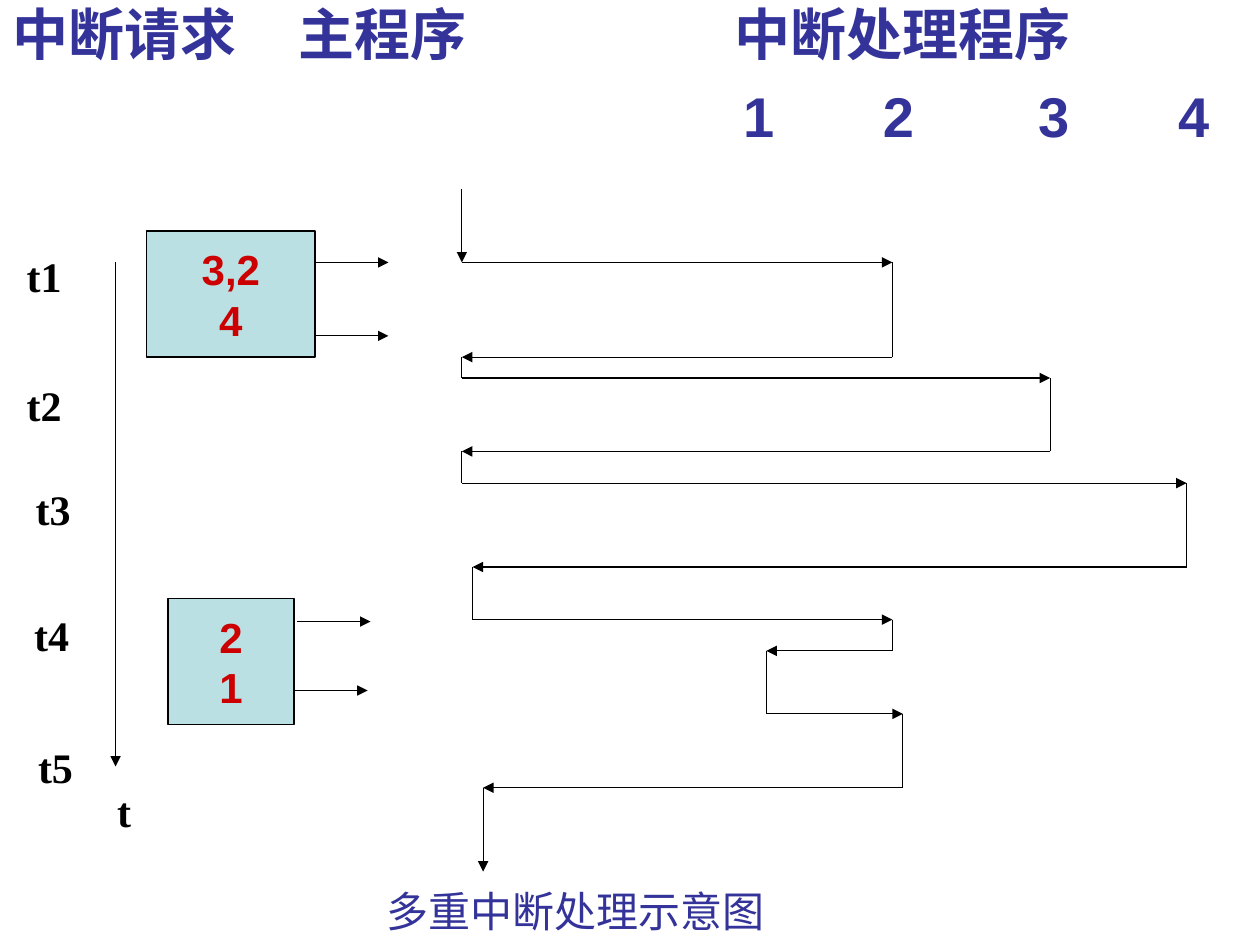
from itertools import pairwise

from lxml import etree
from pptx import Presentation
from pptx import util as u
from pptx.dml.color import RGBColor
from pptx.enum import shapes, text
from pptx.oxml import ns

THEME = {
    "line": RGBColor(0x00, 0x00, 0x00),
    "fill": RGBColor(0xBB, 0xE0, 0xE3),
    "line_width": u.Pt(0.75),
    "heading": dict(name="Arial", size=u.Pt(32), bold=True, color=RGBColor(0x33, 0x33, 0x99)),
    "request": dict(name="Arial", size=u.Pt(24), bold=True, color=RGBColor(0xCC, 0x00, 0x00)),
    "time": dict(name="Times New Roman", size=u.Pt(24), bold=True, color=RGBColor(0, 0, 0)),
    "caption": dict(name="Noto Sans CJK SC", size=u.Pt(24), bold=False,
                    color=RGBColor(0x33, 0x33, 0x99)),
}
CENTER = text.PP_ALIGN.CENTER


def write(shape, lines, style, align, tabs=(), before=0):
    """Fill a shape with one styled paragraph per line, with optional tab stops."""
    frame = shape.text_frame
    for index, line in enumerate(lines):
        para = frame.add_paragraph() if index else frame.paragraphs[0]
        para.alignment = align
        if index and before:
            para.space_before = u.Pt(before)
        if tabs:
            stops = etree.SubElement(para._p.get_or_add_pPr(), ns.qn("a:tabLst"))
            for stop in tabs[index]:
                etree.SubElement(stops, ns.qn("a:tab"), pos=str(u.Cm(stop)), algn="l")
        span = para.add_run()
        span.text = line
        for key, value in THEME[style].items():
            if key == "color":
                span.font.color.rgb = value
            else:
                setattr(span.font, key, value)


def draw_line(start, end, arrow=True):
    """Connect two points given in centimetres."""
    line = page.shapes.add_connector(
        shapes.MSO_CONNECTOR.STRAIGHT, *(u.Cm(v) for v in (*start, *end)))
    line.line.color.rgb = THEME["line"]
    line.line.width = THEME["line_width"]
    if arrow:
        etree.SubElement(line.line._get_or_add_ln(), ns.qn("a:tailEnd"), type="triangle")
    etree.SubElement(line._element.spPr, ns.qn("a:effectLst"))


deck = Presentation()
deck.slide_width, deck.slide_height = u.Cm(25.4), u.Cm(19.05)
page = deck.slides.add_slide(deck.slide_layouts[6])

# Column headings and handler numbers
box = page.shapes.add_textbox(0, 0, deck.slide_width, deck.slide_height)
box.text_frame.word_wrap = True
box.text_frame.margin_top = 0
write(box, ["中断请求\t主程序\t中断处理程序", "\t1\t2\t3\t4"], "heading", text.PP_ALIGN.LEFT,
      tabs=[(5.77, 14.55), (14.73, 17.55, 20.68, 23.5)], before=8)

# Time axis
draw_line((2.33, 5.29), (2.33, 15.45))

# Interrupt requests: left, top, width, height, lines
for left, top, width, height, lines in [
    (2.96, 4.66, 3.39, 2.54, ["3,2", "4"]),
    (3.39, 12.07, 2.54, 2.54, ["2", "1"]),
]:
    box = page.shapes.add_shape(shapes.MSO_SHAPE.RECTANGLE,
                                *(u.Cm(v) for v in (left, top, width, height)))
    box.shadow.inherit = False
    box.fill.solid()
    box.fill.fore_color.rgb = THEME["fill"]
    box.line.color.rgb = THEME["line"]
    box.line.width = THEME["line_width"]
    box.text_frame.word_wrap = False
    box.text_frame.vertical_anchor = text.MSO_ANCHOR.MIDDLE
    write(box, lines, "request", CENTER)

# Request arrows
for x, y in [(6.35, 5.29), (6.35, 6.77), (5.99, 12.53), (5.93, 13.92)]:
    draw_line((x, y), (x + 1.48, y))

# Control flow between the main program and the handlers
main, first, second, third, fourth = 9.31, 15.45, 17.99, 21.17, 23.92
flow = [
    (main, 3.81), (main, 5.29), (second, 5.29), (second, 7.2),
    (main, 7.2), (main, 7.62), (third, 7.62), (third, 9.1),
    (main, 9.1), (main, 9.74), (fourth, 9.74), (fourth, 11.43),
    (9.53, 11.43), (9.53, 12.49), (second, 12.49), (second, 13.12),
    (first, 13.12), (first, 14.39), (18.2, 14.39), (18.2, 15.88),
    (9.74, 15.88), (9.74, 17.57),
]
for start, end in pairwise(flow):
    horizontal = start[1] == end[1]
    draw_line(start, end, arrow=horizontal or start == flow[0] or end == flow[-1])

# Time labels and caption: label, left, top, width, style
for label, left, top, width, style in [
    ("t1", 0.28, 4.93, 1.22, "time"),
    ("t2", 0.28, 7.52, 1.22, "time"),
    ("t3", 0.46, 9.63, 1.22, "time"),
    ("t4", 0.43, 12.17, 1.22, "time"),
    ("t5", 0.51, 14.83, 1.22, "time"),
    ("t", 2.11, 15.72, 0.79, "time"),
    ("多重中断处理示意图", 7.54, 17.73, 8.13, "caption"),
]:
    box = page.shapes.add_textbox(u.Cm(left), u.Cm(top), u.Cm(width), u.Cm(1.27))
    box.text_frame.word_wrap = False
    box.text_frame.auto_size = text.MSO_AUTO_SIZE.SHAPE_TO_FIT_TEXT
    write(box, [label], style, CENTER)

deck.save("out.pptx")
